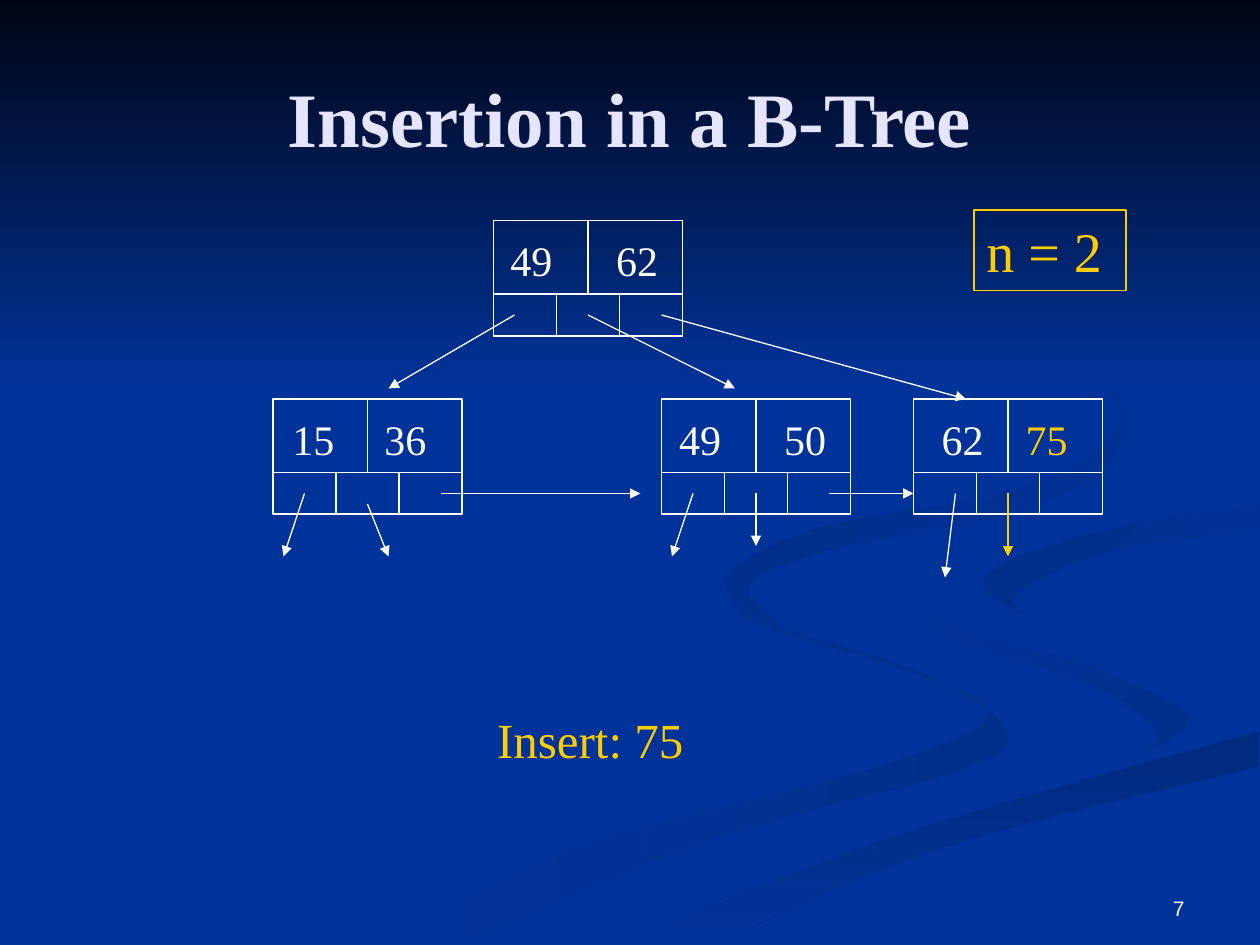
from dataclasses import dataclass
from itertools import pairwise

from lxml.etree import SubElement
from pptx import Presentation
from pptx.dml.color import RGBColor
from pptx.enum.shapes import MSO_CONNECTOR, MSO_SHAPE
from pptx.enum.text import MSO_ANCHOR, MSO_AUTO_SIZE, PP_ALIGN
from pptx.oxml.ns import qn
from pptx.util import Pt


@dataclass(frozen=True)
class Theme:
    background: str = "003399"
    night: str = "000514"
    shade: str = "002E8B"
    title: str = "E5E5FF"
    ink: str = "FFFFFF"
    accent: str = "FFCC00"
    serif: str = "Times New Roman"
    sans: str = "Arial"
    title_size: int = 44
    order_size: int = 32
    caption_size: int = 28
    key_size: int = 24
    number_size: int = 12
    outline: float = 1
    thin: float = 0.75


THEME = Theme()
SLIDE_WIDTH, SLIDE_HEIGHT = 720, 540
NODE_WIDTH, NODE_HEIGHT, KEY_HEIGHT = 108, 66, 42
ROOT_TOP, LEAF_TOP = 126, 228
CURVE_STEPS = 4

# Background ribbons: first colour, last colour, clockwise angle, two curved edges
RIBBONS = [
    (THEME.shade, THEME.background, 180,
     [(414, 330), (442, 357), (526, 384), (576, 418), (544, 442), (406, 479), (260, 539)],
     [(216, 539), (330, 485), (492, 441), (566, 408), (502, 378), (427, 354), (414, 330)]),
    (THEME.shade, THEME.background, 225,
     [(521, 334), (546, 359), (626, 382), (679, 410), (644, 436)],
     [(644, 436), (661, 418), (615, 388), (544, 364), (521, 334)]),
    ("002A7D", THEME.background, 90,
     [(362, 539), (454, 499), (550, 466), (719, 418)],
     [(719, 438), (591, 469), (500, 498), (411, 539)]),
    (THEME.background, "002D86", 225,
     [(719, 289), (623, 305), (562, 331), (595, 357)],
     [(595, 357), (580, 340), (632, 316), (719, 302)]),
    (THEME.background, "002B82", 225,
     [(549, 168), (622, 210), (644, 248), (594, 289), (492, 310), (429, 332), (448, 360)],
     [(448, 360), (415, 333), (467, 302), (589, 278), (640, 241), (609, 201), (549, 168)]),
]

# Tree nodes: left, top, keys as text and distance from the node's left side
NODES = [
    (282, ROOT_TOP, {"49": 2.5, "62": 63}),
    (156, LEAF_TOP, {"15": 4, "36": 56.5}),
    (378, LEAF_TOP, {"49": 3, "50": 63}),
    (522, LEAF_TOP, {"62": 9, "75": 57}),
]
INSERTED = "75"

# Pointers: start and end
POINTERS = [
    ((294, 180), (222, 222)), ((336, 180), (420, 222)), ((378, 180), (552, 228)),
    ((174, 282), (162, 318)), ((210, 288), (222, 318)), ((252, 282), (366, 282)),
    ((396, 282), (384, 318)), ((432, 282), (432, 312)), ((474, 282), (522, 282)),
    ((546, 282), (540, 330)),
]
INSERTED_POINTER = ((576, 282), (576, 318))


def rgb(colour):
    return RGBColor.from_string(colour)


def smooth_edge(anchors):
    """Run a Catmull-Rom curve through the anchors."""
    padded = [anchors[0], *anchors, anchors[-1]]
    curve = [anchors[0]]
    for index, (start, end) in enumerate(pairwise(anchors)):
        before, after = padded[index], padded[index + 3]
        for step in range(1, CURVE_STEPS + 1):
            t = step / CURVE_STEPS
            curve.append(tuple(
                b + t * (c - a + t * (2 * a - 5 * b + 4 * c - d + t * (3 * b - a - 3 * c + d))) / 2
                for a, b, c, d in zip(before, start, end, after)))
    return curve


def shade(shape, first, last, angle):
    shape.shadow.inherit = False
    shape.line.fill.background()
    shape.fill.gradient()
    shape.fill.gradient_angle = 360 - angle
    for stop, colour in zip(shape.fill.gradient_stops, (first, last)):
        stop.color.rgb = rgb(colour)


def add_ribbon(page, first, last, angle, one_edge, other_edge):
    outline = smooth_edge(one_edge) + smooth_edge(other_edge)
    builder = page.shapes.build_freeform(*outline[0], scale=Pt(1))
    builder.add_line_segments(outline[1:], close=True)
    shade(builder.convert_to_shape(), first, last, angle)


def write(box, text, size, colour, font=THEME.serif, align=PP_ALIGN.LEFT, bold=False):
    para = box.text_frame.paragraphs[0]
    para.text = text
    para.alignment = align
    para.font.name = font
    para.font.size = Pt(size)
    para.font.bold = bold
    para.font.color.rgb = rgb(colour)


def fit_to_text(box):
    box.text_frame.word_wrap = False
    box.text_frame.auto_size = MSO_AUTO_SIZE.SHAPE_TO_FIT_TEXT
    box.text_frame.vertical_anchor = MSO_ANCHOR.TOP


def add_label(page, text, left, top, width, height, size, colour):
    box = page.shapes.add_textbox(Pt(left), Pt(top), Pt(width), Pt(height))
    fit_to_text(box)
    write(box, text, size, colour)


def add_frame(page, left, top, width, height, colour, weight):
    frame = page.shapes.add_shape(MSO_SHAPE.RECTANGLE, Pt(left), Pt(top), Pt(width), Pt(height))
    frame.shadow.inherit = False
    frame.fill.background()
    frame.line.color.rgb = rgb(colour)
    frame.line.width = Pt(weight)
    return frame


def add_line(page, start, end, colour=THEME.ink, arrow=False):
    line = page.shapes.add_connector(MSO_CONNECTOR.STRAIGHT, *map(Pt, start + end))
    line.line.color.rgb = rgb(colour)
    line.line.width = Pt(THEME.thin)
    if arrow:
        outline = line._element.spPr.find(qn("a:ln"))
        SubElement(outline, qn("a:tailEnd"), type="triangle")
    SubElement(line._element.spPr, qn("a:effectLst"))
    return line


def add_node(page, left, top, keys):
    frame = add_frame(page, left, top, NODE_WIDTH, NODE_HEIGHT, THEME.ink, THEME.outline)
    middle, split = left + NODE_WIDTH / 2, top + KEY_HEIGHT
    add_line(page, (left, split), (left + NODE_WIDTH, split))
    add_line(page, (middle, top), (middle, split)).begin_connect(frame, 0)
    for third in (1, 2):
        x = left + third * NODE_WIDTH / 3
        add_line(page, (x, split), (x, top + NODE_HEIGHT))
    for text, offset in keys.items():
        colour = THEME.accent if text == INSERTED else THEME.ink
        add_label(page, text, left + offset, top + 4.5, 41, 36, THEME.key_size, colour)


def add_title(page, text):
    title = page.shapes.title
    title.left, title.top, title.width, title.height = Pt(36), Pt(21.6), Pt(648), Pt(90)
    title.text_frame.vertical_anchor = MSO_ANCHOR.MIDDLE
    write(title, text, THEME.title_size, THEME.title, align=PP_ALIGN.CENTER, bold=True)


def add_page_number(page, text):
    box = page.shapes.add_textbox(Pt(516), Pt(492), Pt(168), Pt(37.5))
    box.text_frame.word_wrap = True
    box.text_frame.vertical_anchor = MSO_ANCHOR.BOTTOM
    write(box, text, THEME.number_size, THEME.ink, THEME.sans, PP_ALIGN.RIGHT)


def main():
    deck = Presentation()
    deck.slide_width, deck.slide_height = Pt(SLIDE_WIDTH), Pt(SLIDE_HEIGHT)
    page = deck.slides.add_slide(deck.slide_layouts[5])

    # Background; the title moves in front of it
    page.background.fill.solid()
    page.background.fill.fore_color.rgb = rgb(THEME.background)
    for ribbon in RIBBONS:
        add_ribbon(page, *ribbon)
    sky = add_frame(page, 0, 0, SLIDE_WIDTH, 222, THEME.night, THEME.thin)
    shade(sky, THEME.night, THEME.background, 90)
    page.shapes._spTree.append(page.shapes.title._element)
    add_title(page, "Insertion in a B-Tree")

    # Tree
    for node in NODES:
        add_node(page, *node)
    for start, end in POINTERS:
        add_line(page, start, end, arrow=True)
    add_line(page, *INSERTED_POINTER, THEME.accent, arrow=True)

    # Annotations
    order = add_frame(page, 556.5, 120, 87, 46, THEME.accent, THEME.thin)
    fit_to_text(order)
    write(order, "n = 2", THEME.order_size, THEME.accent)
    add_label(page, f"Insert: {INSERTED}", 277, 402, 140, 41, THEME.caption_size, THEME.accent)
    add_page_number(page, "7")
    deck.save("out.pptx")


if __name__ == "__main__":
    main()
